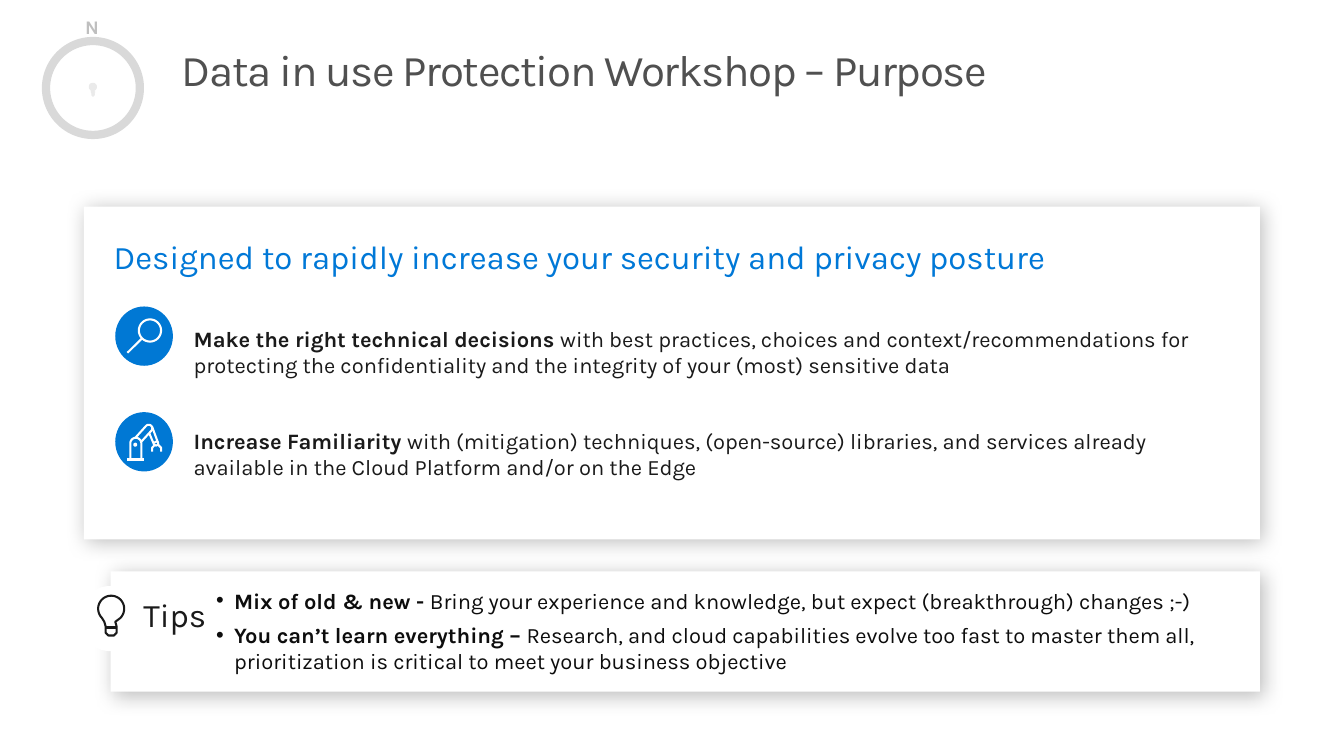
from math import cos, radians, sin

from lxml.etree import SubElement
from pptx import Presentation
from pptx.dml.color import RGBColor
from pptx.enum.shapes import MSO_SHAPE
from pptx.enum.text import MSO_ANCHOR, PP_ALIGN
from pptx.oxml.ns import qn
from pptx.util import Pt

COLORS = {
    "white": "FFFFFF", "title": "505050", "ring": "D9D9D9", "north": "BFBFBF",
    "key": "EAEAEA", "heading": "0078D7", "badge": "0078D4",
    "text": "1A1A1A", "tip": "0D0D0D", "shadow": "000000",
}


def arc(cx, cy, r, start, end, steps=32):
    """Return points along a circular arc; angles run clockwise from the right."""
    angles = [radians(start + (end - start) * i / steps) for i in range(steps + 1)]
    return [(cx + r * cos(a), cy + r * sin(a)) for a in angles]


class Deck:
    """Holds the style and the current slide."""

    def __init__(self, width, height, font):
        """Open a presentation with one title-only slide."""
        self.prs = Presentation()
        self.prs.slide_width, self.prs.slide_height = Pt(width), Pt(height)
        self.font = font
        self.s = self.prs.slides.add_slide(self.prs.slide_layouts[5])

    def color(self, name):
        """Return a named colour."""
        return RGBColor.from_string(COLORS[name])

    def paint(self, sp, fill=None, line=None, weight=1.5):
        """Set fill and line, and drop the theme shadow."""
        sp.shadow.inherit = False
        if fill:
            sp.fill.solid()
            sp.fill.fore_color.rgb = self.color(fill)
        else:
            sp.fill.background()
        if line:
            sp.line.color.rgb = self.color(line)
            sp.line.width = Pt(weight)
        else:
            sp.line.fill.background()

    def frame(self, sp, insets=(0, 0, 0, 0), wrap=True):
        """Prepare a text frame; insets are left, top, right, bottom."""
        tf = sp.text_frame
        tf.word_wrap = wrap
        tf.vertical_anchor = MSO_ANCHOR.TOP
        tf.margin_left, tf.margin_top, tf.margin_right, tf.margin_bottom = map(Pt, insets)
        return tf

    def para(self, tf, runs, size, color, before=0, after=0, left=0, hang=0, bullet=None):
        """Add a paragraph of (text, bold) runs."""
        p = tf.paragraphs[0]
        if p.runs:
            p = tf.add_paragraph()
        p.alignment = PP_ALIGN.LEFT
        p.space_before, p.space_after = Pt(before), Pt(after)
        pPr = p._p.get_or_add_pPr()
        pPr.set("marL", str(Pt(left)))
        pPr.set("indent", str(Pt(-hang)))
        if bullet:
            SubElement(pPr, qn("a:buFont")).set("typeface", "Arial")
            SubElement(pPr, qn("a:buChar")).set("char", bullet)
        for text, bold in runs:
            r = p.add_run()
            r.text = text
            r.font.name, r.font.size, r.font.bold = self.font, Pt(size), bold
            r.font.color.rgb = self.color(color)
        return p

    def title(self, box, text):
        """Place and fill the title placeholder."""
        sp = self.s.shapes.title
        sp.left, sp.top, sp.width, sp.height = map(Pt, box)
        tf = self.frame(sp, (11.5, 7.2, 11.5, 7.2))
        p = self.para(tf, [(text, False)], 32, "title")
        p.line_spacing = 0.9
        p.runs[0].font._element.set("spc", "-100")

    def label(self, box, text, size, color, bold=False, wrap=True):
        """Add a one-line text box."""
        sp = self.s.shapes.add_textbox(*map(Pt, box))
        self.para(self.frame(sp, wrap=wrap), [(text, bold)], size, color)

    def circle(self, cx, cy, width, height, **style):
        """Add an ellipse around a centre."""
        box = cx - width / 2, cy - height / 2, width, height
        sp = self.s.shapes.add_shape(MSO_SHAPE.OVAL, *map(Pt, box))
        self.paint(sp, **style)

    def card(self, box, insets):
        """Add a white card with a soft shadow and return its text frame."""
        sp = self.s.shapes.add_shape(MSO_SHAPE.RECTANGLE, *map(Pt, box))
        self.paint(sp, fill="white")
        effects = sp._element.spPr.find(qn("a:effectLst"))
        shadow = SubElement(effects, qn("a:outerShdw"), blurRad=str(Pt(15)),
                            dist=str(Pt(3)), dir="2700000", algn="tl", rotWithShape="0")
        clr = SubElement(shadow, qn("a:srgbClr"), val=COLORS["shadow"])
        SubElement(clr, qn("a:alpha"), val="25000")
        return self.frame(sp, insets)

    def drawing(self, strokes, **style):
        """Add one outline made of (points, closed) strokes."""
        fb = None
        for points, closed in strokes:
            (x, y), *rest = [(Pt(px), Pt(py)) for px, py in points]
            if fb:
                fb.move_to(x, y)
            else:
                fb = self.s.shapes.build_freeform(x, y)
            fb.add_line_segments(rest, close=closed)
        self.paint(fb.convert_to_shape(), **style)


MAGNIFIER = [
    (arc(109.3, 240.8, 8.1, 0, 360), True),
    ([(103.6, 246.5), (92.9, 257)], False),
]
ROBOT_ARM = [
    ([(115.2, 324), (117.4, 326.2), (117.4, 329)], False),
    ([(113, 324), (110.9, 326.2), (110.9, 329)], False),
    (arc(99, 323, 4, 180, 360) + [(103, 334.8), (95, 334.8)], True),
    ([(92.9, 334.8), (105.1, 334.8)], False),
    (arc(98.6, 324, 0.7, 0, 360, 12), True),
    ([(112.3, 322.6), (115.2, 321.1)], False),
    ([(98.6, 319)] + arc(108.4, 312.1, 2.6, -135, 45) + [(103, 321.8)], False),
    ([(108.7, 315.4), (112.3, 324), (113.8, 324.7), (115.2, 324),
      (115.2, 322.6), (110.9, 311)], False),
]
BULB = [
    (arc(81, 443.5, 9.5, 135, 405)
     + [(84, 453), (85, 456.5), (85, 461), (83, 463), (79, 463), (77, 461),
        (77, 456.5), (76, 453)], True),
    ([(77, 457.2), (85, 457.2)], False),
]
KEY = [
    (arc(67.7, 63.3, 2.7, 120, 420)
     + [(69, 69), (67.8, 70.3), (66.8, 69.3), (67.2, 68.4), (66.5, 67.5)], True),
]

deck = Deck(979.2, 550.8, "Karla")
deck.title((121, 28, 836.6, 67.7), "Data in use Protection Workshop – Purpose")

# Compass
deck.circle(67.7, 64.1, 68.4, 68.4, line="ring", weight=6)
deck.label((62, 10.8, 10.8, 17.3), "N", 14, "north", bold=True, wrap=False)
deck.drawing(KEY, fill="key", line="key", weight=0.5)

# Purpose card
tf = deck.card((61.2, 150.5, 856.8, 242.6), (21.6, 21.6, 14.4, 21.6))
deck.para(tf, [("Designed to rapidly increase your security and privacy posture", False)],
          24, "heading", after=30)
PURPOSES = [
    ("Make the right technical decisions ",
     "with best practices, choices and context/recommendations for protecting "
     "the confidentiality and the integrity of your (most) sensitive data", 6, MAGNIFIER),
    ("Increase Familiarity ",
     "with (mitigation) techniques, (open-source) libraries, and services already "
     "available in the Cloud Platform and/or on the Edge", 0, ROBOT_ARM),
]
for i, (lead, rest, before, icon) in enumerate(PURPOSES):
    deck.para(tf, [(lead, True), (rest, False)], 16, "text",
              before=before, after=36, left=58.3)
    deck.circle(105, 244.9 + i * 77, 42, 43.2, fill="badge")
    deck.drawing(icon, line="white")

# Tips card
tf = deck.card((80.6, 416.2, 837.4, 87.8), (36, 11.5, 7.2, 11.5))
TIPS = [
    ("Mix of old & new - ",
     "Bring your experience and knowledge, but expect (breakthrough) changes ;-)"),
    ("You can’t learn everything – ",
     "Research, and cloud capabilities evolve too fast to master them all, "
     "prioritization is critical to meet your business objective"),
]
for lead, rest in TIPS:
    deck.para(tf, [(lead, True), (rest, False)], 16, "tip",
              after=6, left=54, hang=13, bullet="•")
deck.label((104.4, 433.4, 56.2, 28.8), "Tips", 24, "text")
deck.circle(80.6, 450.7, 47.5, 47.5, fill="white")
deck.drawing(BULB, line="text")

deck.prs.save("out.pptx")
